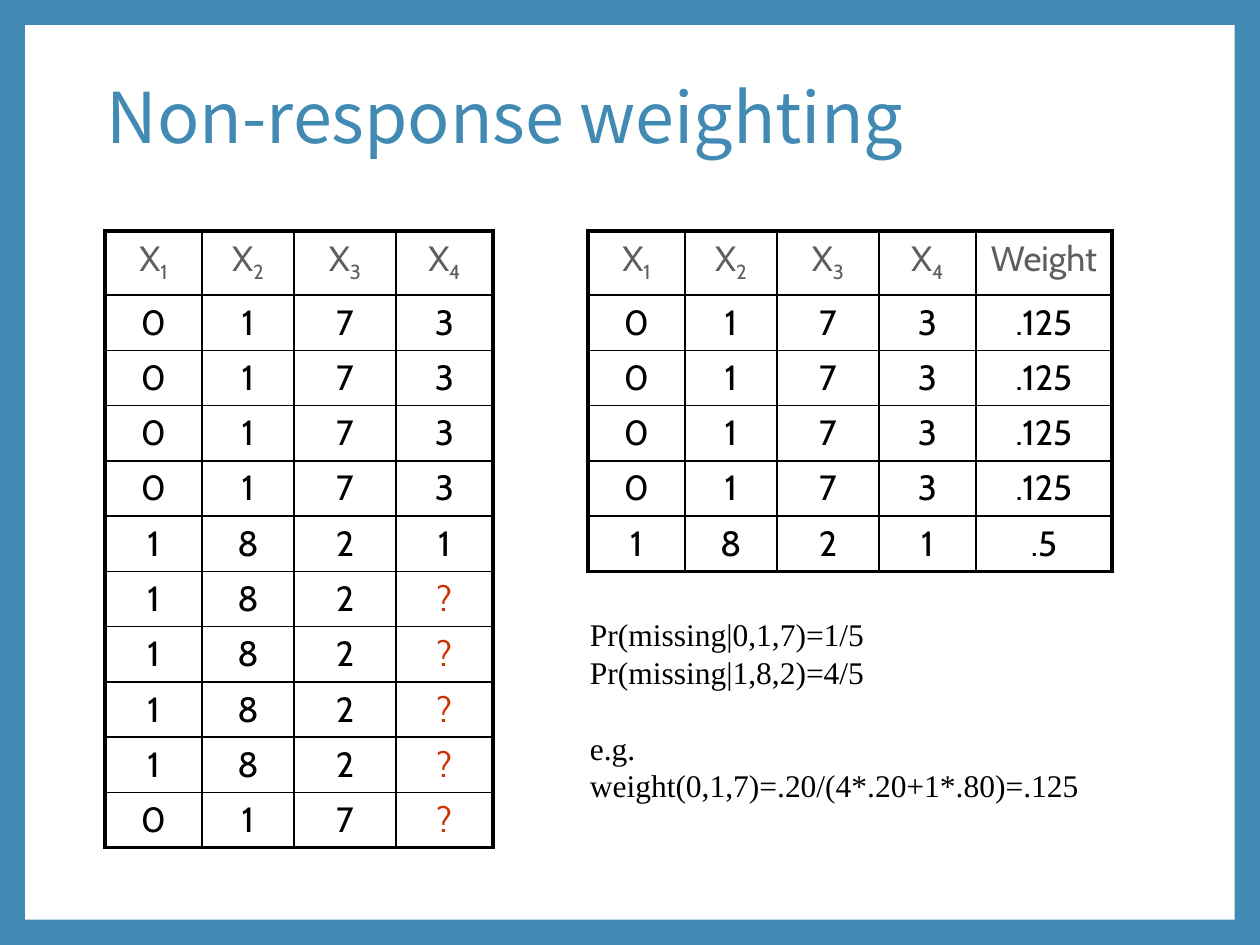
"""Build the non-response weighting slide."""
from lxml.etree import SubElement
from pptx import Presentation
from pptx.dml.color import RGBColor
from pptx.enum.shapes import MSO_SHAPE
from pptx.enum.text import MSO_ANCHOR, PP_ALIGN
from pptx.oxml import parse_xml
from pptx.oxml.ns import nsdecls, qn
from pptx.util import Pt

BLUE = RGBColor(0x41, 0x8A, 0xB3)
WHITE = RGBColor(0xFF, 0xFF, 0xFF)
GRAY = RGBColor(0x5E, 0x5E, 0x5E)
BLACK = RGBColor(0, 0, 0)
RED = RGBColor(0xCC, 0x33, 0x00)

TITLE = "Non-response weighting"
VARIABLES = ["X1", "X2", "X3", "X4"]
SAMPLE = [VARIABLES] + [list("0173")] * 4 + [list("1821")] + [list("182?")] * 4 + [list("017?")]
WEIGHTED = [VARIABLES + ["Weight"]] + [list("0173") + [".125"]] * 4 + [list("1821") + [".5"]]
FORMULAS = [
    ("Pr(missing|0,1,7)=1/5", 0),
    ("Pr(missing|1,8,2)=4/5", 0),
    ("e.g.", 21.6),
    ("weight(0,1,7)=.20/(4*.20+1*.80)=.125", 0),
]

COLUMN_WIDTHS = [55.4, 52.6, 58.3, 55.4, 77.8]
HEADER_HEIGHT, ROW_HEIGHT = 36.6, 31.6
TABLE_TOP = 132
THIN, THICK = 1, 2.25


def add_text(paragraph, text, font="Cabin", size=20, color=BLACK, align=None,
             line_spacing=None, before=None, subscript=False):
    """Append a formatted run to a paragraph."""
    run = paragraph.add_run()
    run.text = text
    run.font.name, run.font.size = font, Pt(size)
    run.font.color.rgb = color
    if subscript:
        run.font._element.set("baseline", "-25000")
    if align is not None:
        paragraph.alignment = align
    if line_spacing is not None:
        paragraph.line_spacing = line_spacing
    if before is not None:
        paragraph.space_before = Pt(before)


def set_borders(cell, widths):
    """Draw the left, right, top and bottom borders of a cell."""
    properties = cell._tc.get_or_add_tcPr()
    for index, (side, width) in enumerate(zip("LRTB", widths)):
        line = parse_xml(f'<a:ln{side} {nsdecls("a")} w="{Pt(width)}"/>')
        fill = SubElement(line, qn("a:solidFill"))
        SubElement(fill, qn("a:srgbClr")).set("val", str(BLACK))
        properties.insert(index, line)


def add_grid(slide, left, rows):
    """Add a table with a thick frame and thin inner lines."""
    widths = COLUMN_WIDTHS[:len(rows[0])]
    heights = [HEADER_HEIGHT] + [ROW_HEIGHT] * (len(rows) - 1)
    table = slide.shapes.add_table(len(rows), len(widths), Pt(left), Pt(TABLE_TOP),
                                   Pt(sum(widths)), Pt(sum(heights))).table
    table.first_row = table.horz_banding = False
    for column, width in zip(table.columns, widths):
        column.width = Pt(width)
    for row, height in zip(table.rows, heights):
        row.height = Pt(height)
    for i, values in enumerate(rows):
        for j, value in enumerate(values):
            cell = table.cell(i, j)
            cell.fill.background()
            edges = (j == 0, j == len(widths) - 1, i == 0, i == len(rows) - 1)
            set_borders(cell, [THICK if edge else THIN for edge in edges])
            paragraph = cell.text_frame.paragraphs[0]
            color = GRAY if i == 0 else RED if value == "?" else BLACK
            style = {"color": color, "align": PP_ALIGN.CENTER}
            if value in VARIABLES:
                add_text(paragraph, value[0], **style)
                add_text(paragraph, value[1], subscript=True, **style)
            else:
                add_text(paragraph, value, **style)


presentation = Presentation()
presentation.slide_width, presentation.slide_height = Pt(720), Pt(540)
slide = presentation.slides.add_slide(presentation.slide_layouts[6])
slide.background.fill.solid()
slide.background.fill.fore_color.rgb = BLUE

panel = slide.shapes.add_shape(MSO_SHAPE.RECTANGLE, Pt(14.4), Pt(14.4), Pt(691.2), Pt(511.2))
panel.shadow.inherit = False
panel.fill.solid()
panel.fill.fore_color.rgb = WHITE
panel.line.fill.background()

title = slide.shapes.add_textbox(Pt(54), Pt(41.8), Pt(612), Pt(54)).text_frame
title.word_wrap = True
title.vertical_anchor = MSO_ANCHOR.MIDDLE
add_text(title.paragraphs[0], TITLE, font="Noto Sans CJK SC", size=40, color=BLUE, line_spacing=0.9)

add_grid(slide, 60, SAMPLE)
add_grid(slide, 336, WEIGHTED)

notes = slide.shapes.add_textbox(Pt(330), Pt(348), Pt(296.6), Pt(116.6)).text_frame
notes.word_wrap = False
for index, (formula, before) in enumerate(FORMULAS):
    paragraph = notes.add_paragraph() if index else notes.paragraphs[0]
    add_text(paragraph, formula, font="Times New Roman", size=18,
             line_spacing=Pt(21.6), before=before)

presentation.save("out.pptx")
